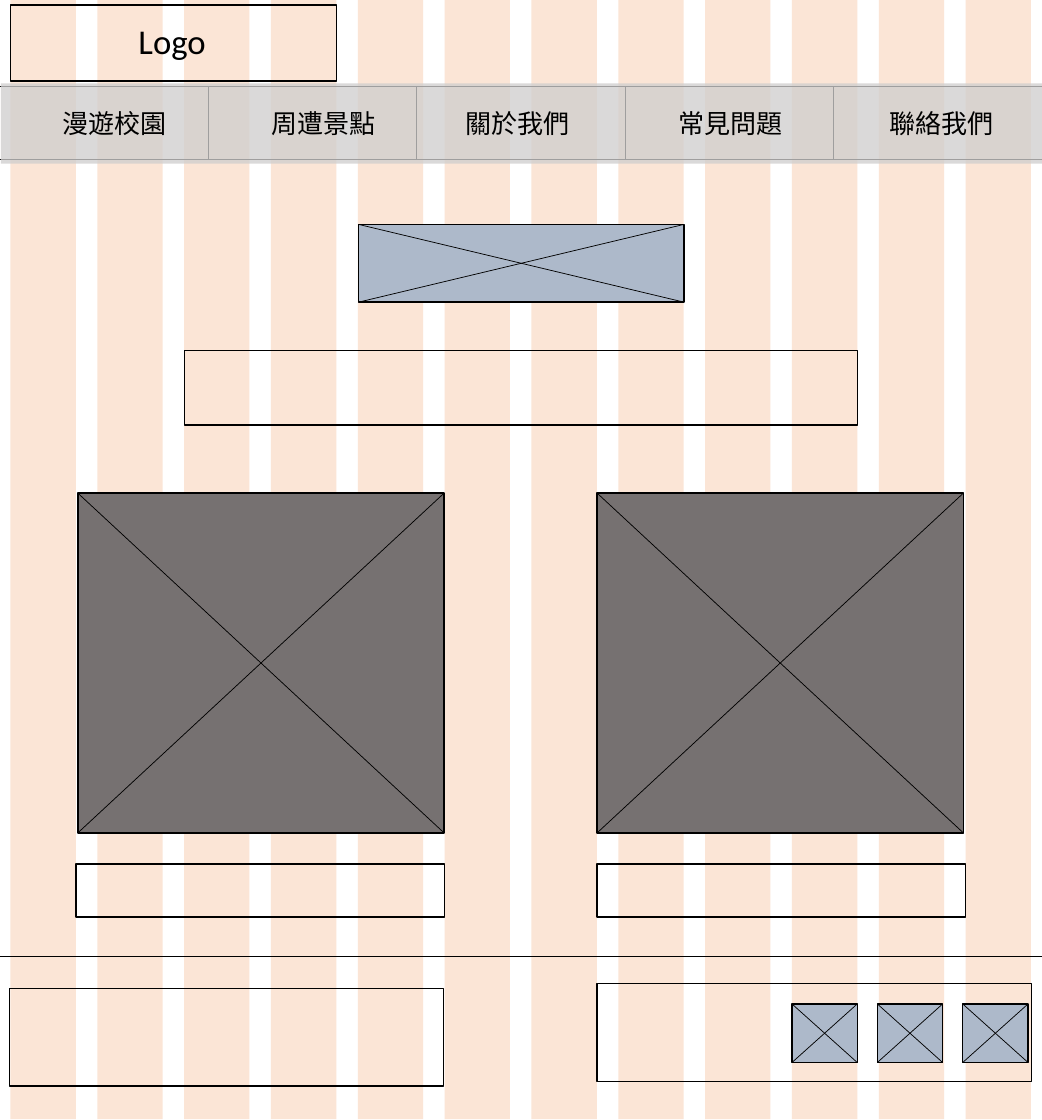
from pptx import Presentation
from pptx.dml.color import RGBColor
from pptx.enum import shapes, text
from pptx.oxml import ns, xmlchemy
from pptx.util import Pt

PEACH = RGBColor(0xFB, 0xE5, 0xD6)
STEEL = RGBColor(0xAD, 0xB9, 0xCA)
STONE = RGBColor(0x76, 0x71, 0x71)
SILVER = RGBColor(0xD0, 0xCE, 0xCE)
BLACK = RGBColor(0, 0, 0)

WIDTH, HEIGHT = 720, 773.57
MARGIN, PITCH, COLUMN = 7.2, 60, 45.2
LATIN, HAN = "Calibri", "Noto Sans CJK SC"
MENU = [
    ("漫遊校園", 36, HAN),
    ("周遭景點", 180.6, HAN),
    ("關於我們", 314.6, LATIN),
    ("常見問題", 461.6, LATIN),
    ("聯絡我們", 607.6, LATIN),
]


def add_rect(parts, box, fill=None, edge=True):
    rect = parts.add_shape(shapes.MSO_SHAPE.RECTANGLE, *map(Pt, box))
    rect.shadow.inherit = False
    if fill is None:
        rect.fill.background()
    else:
        rect.fill.solid()
        rect.fill.fore_color.rgb = fill
    if edge:
        rect.line.color.rgb = BLACK
        rect.line.width = Pt(1)
    else:
        rect.line.fill.background()
    return rect


def add_line(parts, *ends):
    line = parts.add_connector(shapes.MSO_CONNECTOR.STRAIGHT, *map(Pt, ends))
    line.line.color.rgb = BLACK
    line.line.width = Pt(0.5)
    line._element.spPr.append(xmlchemy.OxmlElement("a:effectLst"))


def add_label(parts, box, words, size, font):
    frame = parts.add_textbox(*map(Pt, box)).text_frame
    frame.word_wrap = False
    frame.auto_size = text.MSO_AUTO_SIZE.SHAPE_TO_FIT_TEXT
    frame.text = words
    style = frame.paragraphs[0].runs[0].font
    style.size = Pt(size)
    style.name = font
    style.color.rgb = BLACK


def add_image(parts, box, fill):
    left, top, width, height = box
    right, bottom = left + width, top + height
    group = parts.add_group_shape().shapes
    add_rect(group, box, fill)
    add_line(group, right, top, left, bottom)
    add_line(group, left, top, right, bottom)


def add_grid(parts, box):
    left, top, width, height = box
    for step in range(12):
        add_rect(parts, (left + step * PITCH, top, COLUMN, height), PEACH, False)


def add_logo(parts, box):
    left, top, width, height = box
    add_rect(parts, box)
    add_label(parts, (left + 81.4, top + 6.2, 61.2, 36), "Logo", 24, LATIN)


def add_menu(parts, box):
    left, top, width, height = box
    right, bottom = left + width, top + height
    for level in (top, bottom):
        add_line(parts, left, level, right, level)
    cell = width / len(MENU)
    for step in range(1, len(MENU)):
        edge = left + step * cell
        add_line(parts, edge, top, edge, bottom)
    veil = add_rect(parts, (left + 0.7, top - 2.2, width, 55.4), SILVER, False)
    color = veil._element.spPr.find(".//" + ns.qn("a:srgbClr"))
    alpha = xmlchemy.OxmlElement("a:alpha")
    alpha.set("val", "77000")
    color.append(alpha)
    for words, start, font in MENU:
        add_label(parts, (left + start, top + 11.2, 87.1, 28.8), words, 18, font)


def add_intro(parts, box):
    left, top, width, height = box
    add_image(parts, (left + 120.4, top, 224.8, 53.7), STEEL)
    add_rect(parts, (left, top + height - 51.4, width, 51.4))


def add_card(parts, box, inset):
    left, top, width, height = box
    add_image(parts, (left + inset, top, 253.1, 234.7), STONE)
    add_rect(parts, (left, top + height - 36.7, width, 36.7))


def add_footer(parts, box):
    left, top, width, height = box
    add_line(parts, left, top, left + width, top)
    add_rect(parts, (left + 6.5, top + 22.4, 300.2, 67.4))
    add_rect(parts, (left + 412.6, top + 19.2, 300.2, 67.4))
    for step in range(3):
        start = left + 547.2 + step * 59
        add_image(parts, (start, top + 33.1, COLUMN, 40.5), STEEL)


def main():
    deck = Presentation()
    deck.slide_width, deck.slide_height = Pt(WIDTH), Pt(HEIGHT)
    parts = deck.slides.add_slide(deck.slide_layouts[6]).shapes
    add_grid(parts, (MARGIN, -0.6, WIDTH - 2 * MARGIN, HEIGHT))
    add_logo(parts, (MARGIN, 3.6, 225.2, 52.4))
    add_menu(parts, (0, 59.8, WIDTH, 50.4))
    add_intro(parts, (127.4, 155, 465.1, 138.5))
    add_card(parts, (52.6, 340.6, 254.7, 292.8), 1.2)
    add_card(parts, (412.6, 340.6, 254.7, 292.8), 0)
    add_footer(parts, (0, 660.3, WIDTH, 90))
    deck.save("out.pptx")


if __name__ == "__main__":
    main()
